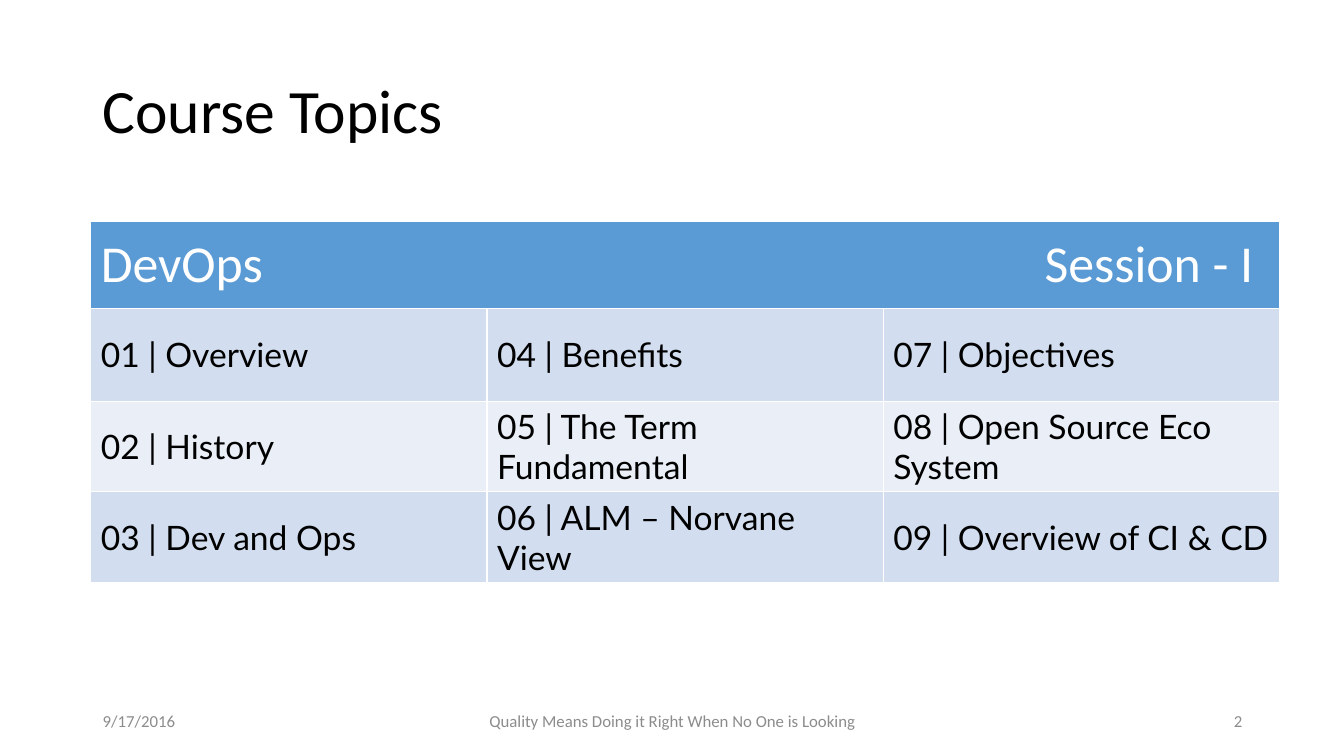
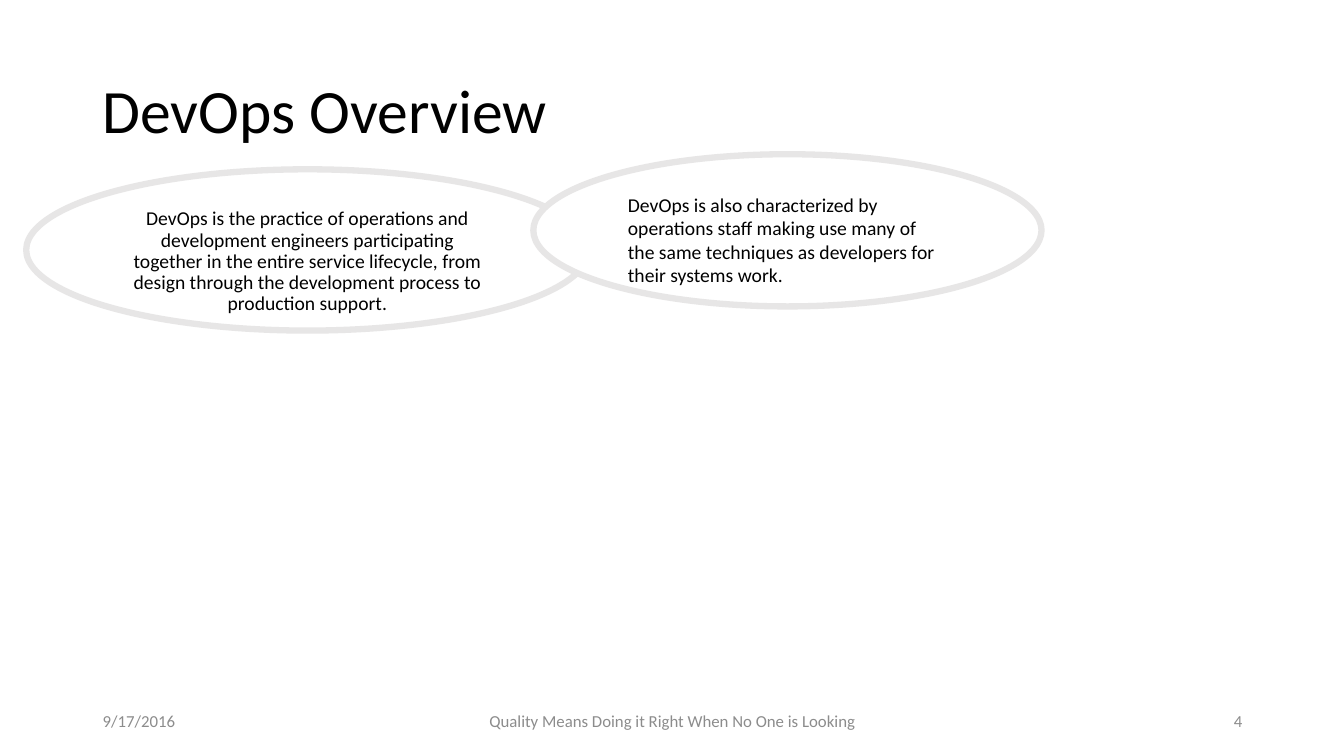
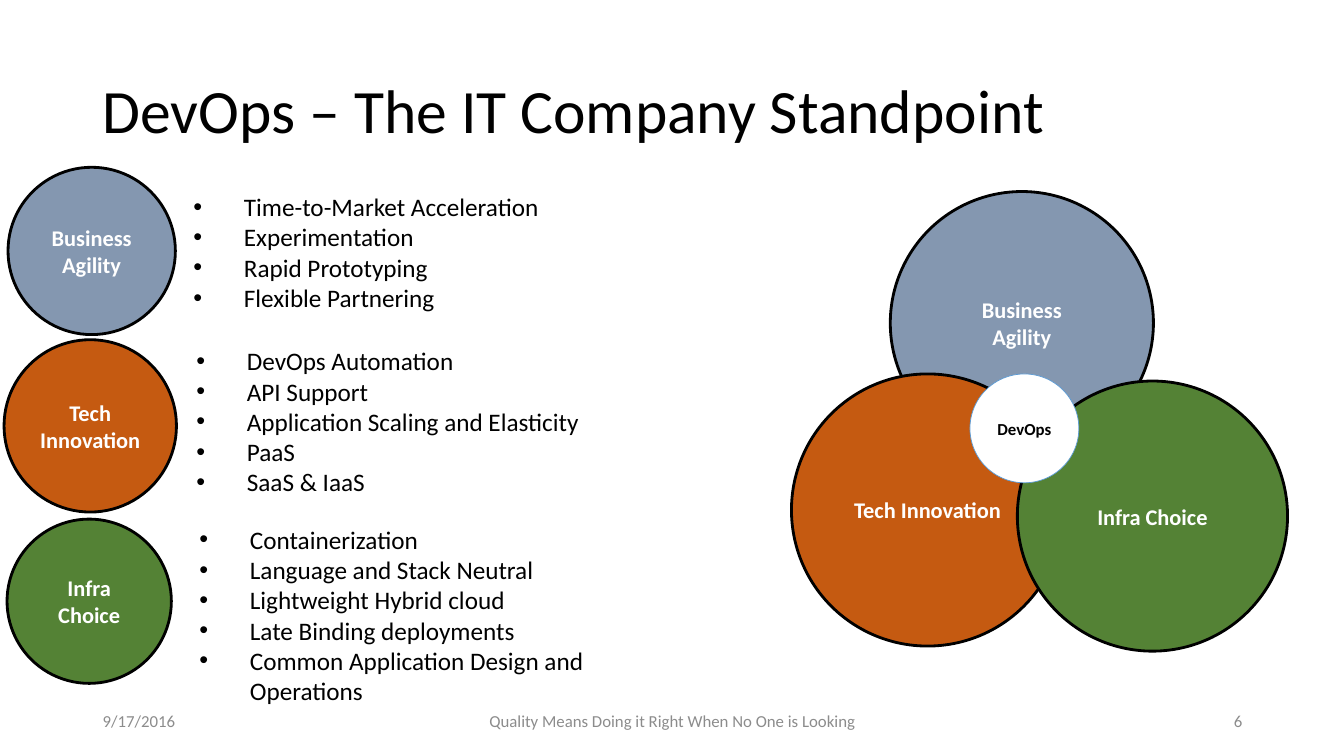
from lxml import etree
from pptx import Presentation
from pptx.dml.color import RGBColor
from pptx.enum.shapes import MSO_SHAPE
from pptx.enum.text import MSO_ANCHOR, PP_ALIGN
from pptx.oxml.ns import qn
from pptx.util import Inches, Pt

OVAL = MSO_SHAPE.OVAL
TOP, MID = MSO_ANCHOR.TOP, MSO_ANCHOR.MIDDLE
LEFT, CENTER, RIGHT = PP_ALIGN.LEFT, PP_ALIGN.CENTER, PP_ALIGN.RIGHT

BLACK, WHITE, GRAY, SILVER = "000000", "FFFFFF", "8C8C8C", "E7E6E6"
BLUE, PALE, LIGHT = "5B9BD5", "D2DEEF", "EAEFF7"
SLATE, RUST, GREEN = "8497B0", "C55A11", "548235"
PAD = (0.1, 0.05)


def color(code):
    return RGBColor.from_string(code)


def box(at):
    return [Inches(n) for n in at]


def write(frame, text, size=18, font="Calibri", ink=BLACK, bold=False,
          align=LEFT, space=None, bullet=False, tab=None):
    for i, line in enumerate(text.split("\n")):
        para = frame.add_paragraph() if i else frame.paragraphs[0]
        para.alignment = align
        if space:
            para.line_spacing = space
        run = para.add_run()
        run.text = line
        run.font.size = Pt(size)
        run.font.name = font
        run.font.bold = bold
        run.font.color.rgb = color(ink)
        props = para._p.get_or_add_pPr()
        if bullet:
            props.set("marL", str(Inches(0.5)))
            props.set("indent", str(-Inches(0.5)))
            face = etree.SubElement(props, qn("a:buFont"))
            face.set("typeface", "Arial")
            etree.SubElement(props, qn("a:buChar")).set("char", "•")
        if tab:
            tabs = etree.SubElement(props, qn("a:tabLst"))
            stop = etree.SubElement(tabs, qn("a:tab"))
            stop.set("pos", str(Inches(tab)))
            stop.set("algn", "r")


class Deck:
    """Slides with a shared title, footer and element style."""

    def __init__(self):
        self.file = Presentation()
        self.file.slide_width = Inches(13.33)
        self.file.slide_height = Inches(7.5)

    def page(self, title, number):
        slide = self.file.slides.add_slide(self.file.slide_layouts[6])
        self.shapes = slide.shapes
        self.label((0.92, 0.4, 11.5, 1.45), title, MID, size=44, space=0.9)
        motto = "Quality Means Doing it Right When No One is Looking"
        for left, wide, text, align in (
                (0.92, 3, "9/17/2016", LEFT),
                (4.42, 4.5, motto, CENTER),
                (9.42, 3, str(number), RIGHT)):
            self.label((left, 6.95, wide, 0.4), text, MID,
                       size=12, ink=GRAY, align=align)

    def fit(self, frame, anchor, pad=PAD):
        frame.word_wrap = True
        frame.vertical_anchor = anchor
        frame.margin_left = frame.margin_right = Inches(pad[0])
        frame.margin_top = frame.margin_bottom = Inches(pad[1])

    def label(self, at, text, anchor=TOP, **style):
        frame = self.shapes.add_textbox(*box(at)).text_frame
        self.fit(frame, anchor)
        write(frame, text, **style)

    def oval(self, at, text, fill, line=BLACK, width=2, anchor=MID, pad=PAD,
             home=None, **style):
        shape = (home or self.shapes).add_shape(OVAL, *box(at))
        shape.shadow.inherit = False
        shape.fill.solid()
        shape.fill.fore_color.rgb = color(fill)
        shape.line.color.rgb = color(line)
        shape.line.width = Pt(width)
        self.fit(shape.text_frame, anchor, pad)
        write(shape.text_frame, text, **style)

    def edge(self, cell):
        props = cell._tc.get_or_add_tcPr()
        for i, side in enumerate(("lnL", "lnR", "lnT", "lnB")):
            line = etree.Element(qn("a:" + side))
            line.set("w", str(Pt(1)))
            fill = etree.SubElement(line, qn("a:solidFill"))
            etree.SubElement(fill, qn("a:srgbClr")).set("val", WHITE)
            props.insert(i, line)

    def grid(self, at, head, rows, tall):
        wide = len(rows[0])
        table = self.shapes.add_table(len(tall), wide, *box(at)).table
        for col in table.columns:
            col.width = Inches(at[2] / wide)
        for row, high in zip(table.rows, tall):
            row.height = Inches(high)
        table.cell(0, 0).merge(table.cell(0, wide - 1))
        for r in range(len(tall)):
            for c in range(wide):
                cell = table.cell(r, c)
                cell.fill.solid()
                shade = (LIGHT, PALE)[r % 2] if r else BLUE
                cell.fill.fore_color.rgb = color(shade)
                cell.vertical_anchor = MID
                self.edge(cell)
                if r:
                    write(cell.text_frame, rows[r - 1][c], size=24, font="Lato")
        write(table.cell(0, 0).text_frame, head, size=37, ink=WHITE, tab=11.43)


def topics(deck):
    deck.page("Course Topics", 2)
    names = ["Overview", "History", "Dev and Ops",
             "Benefits", "The Term Fundamental", "ALM – Norvane View",
             "Objectives", "Open Source Eco System", "Overview of CI & CD"]
    items = [f"{n:02} | {name}" for n, name in enumerate(names, 1)]
    rows = [items[r::3] for r in range(3)]
    deck.grid((0.9, 2.2, 11.79, 3.54), "DevOps\tSession - I", rows,
              (0.86, 0.92, 0.9, 0.86))


def overview(deck):
    deck.page("DevOps Overview", 4)
    for at, text, align, space in (
            ((0.26, 1.68, 5.58, 1.6),
             "DevOps is the practice of operations and development engineers "
             "participating together in the entire service lifecycle, from "
             "design through the development process to production support.",
             CENTER, 0.9),
            ((5.29, 1.53, 5.04, 1.51),
             "DevOps is also characterized by operations staff making "
             "use many of the same techniques as developers for their "
             "systems work.", LEFT, None)):
        deck.oval(at, text, WHITE, SILVER, 4.5, TOP, (0.2, 0.16),
                  size=14, align=align, space=space)


def standpoint(deck):
    deck.page("DevOps – The IT Company Standpoint", 6)
    parts = (
        ("Business\nAgility", SLATE, (0.08, 1.66, 1.66), (1.82, 1.85, 1.31),
         (8.83, 1.9, 2.61),
         "Time-to-Market Acceleration\nExperimentation\nRapid Prototyping\n"
         "Flexible Partnering"),
        ("Tech Innovation", RUST, (0.04, 3.37, 1.71), (1.85, 3.38, 1.62),
         (7.85, 3.71, 2.7),
         "DevOps Automation\nAPI Support\nApplication Scaling and Elasticity\n"
         "PaaS\nSaaS & IaaS"),
        ("Infra Choice", GREEN, (0.07, 5.15, 1.63), (1.88, 5.15, 1.92),
         (10.09, 3.78, 2.68),
         "Containerization\nLanguage and Stack Neutral\n"
         "Lightweight Hybrid cloud\nLate Binding deployments\n"
         "Common Application Design and Operations"))
    bold = {"bold": True, "align": CENTER}
    venn = deck.shapes.add_group_shape().shapes
    for name, fill, small, (left, top, high), large, points in parts:
        deck.label((left, top, 4.02, high), points, bullet=True)
        for (x, y, size), home in ((small, None), (large, venn)):
            deck.oval((x, y, size, size), name, fill, home=home,
                      size=16, ink=WHITE, **bold)
    deck.oval((9.62, 3.71, 1.08, 1.08), "DevOps", WHITE, BLUE, 0.5,
              home=venn, size=12, **bold)


def main():
    deck = Deck()
    topics(deck)
    overview(deck)
    standpoint(deck)
    deck.file.save("out.pptx")


if __name__ == "__main__":
    main()
